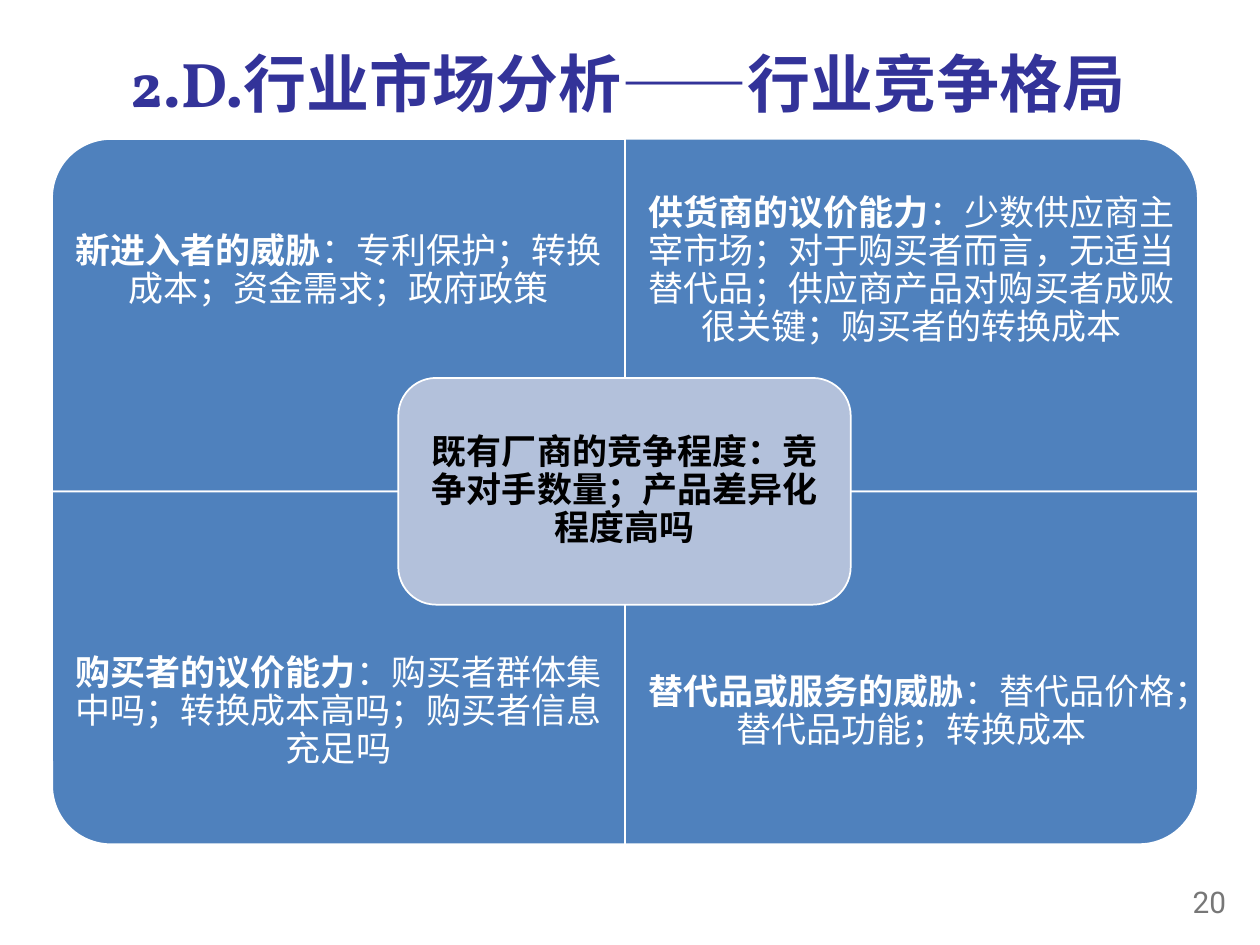
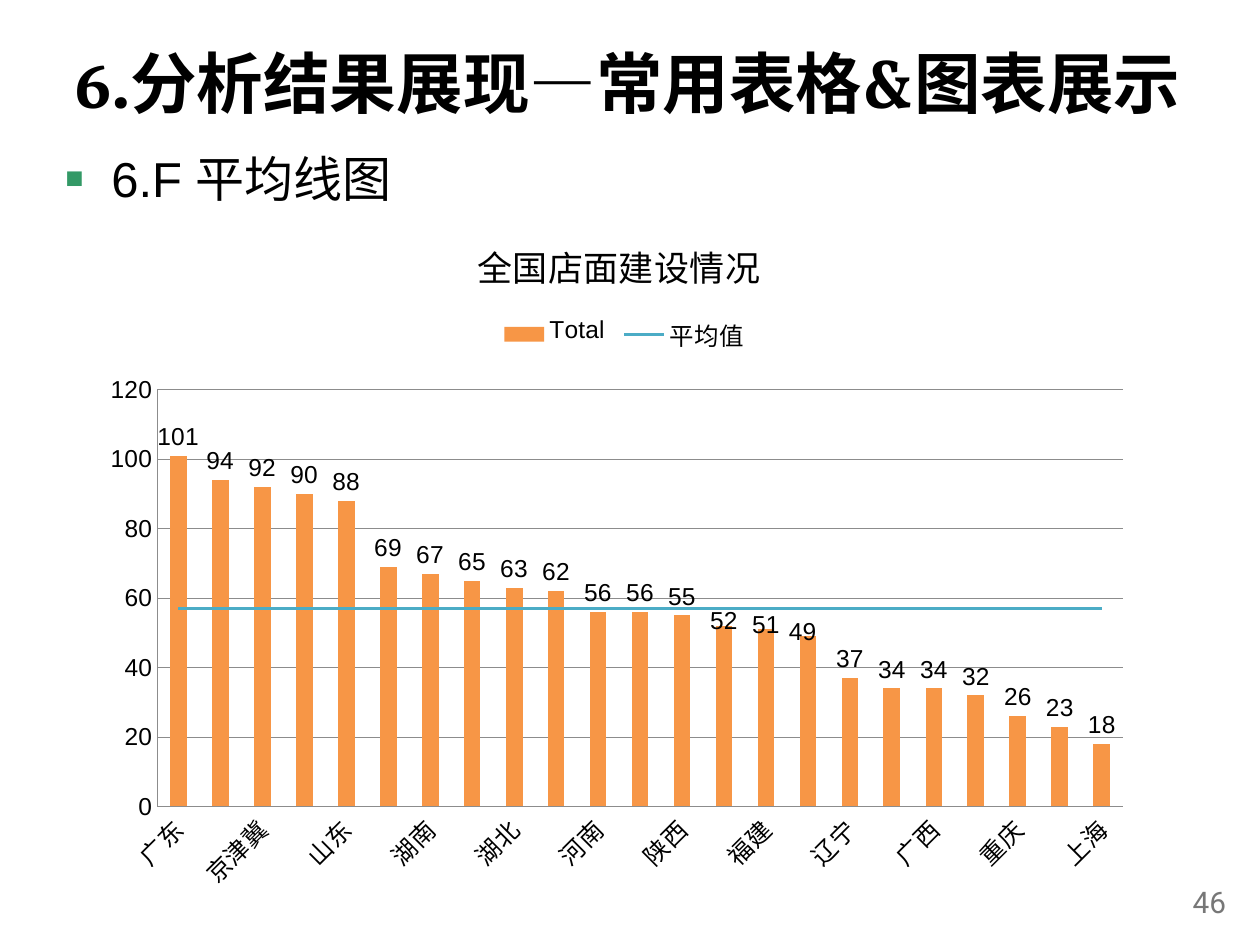
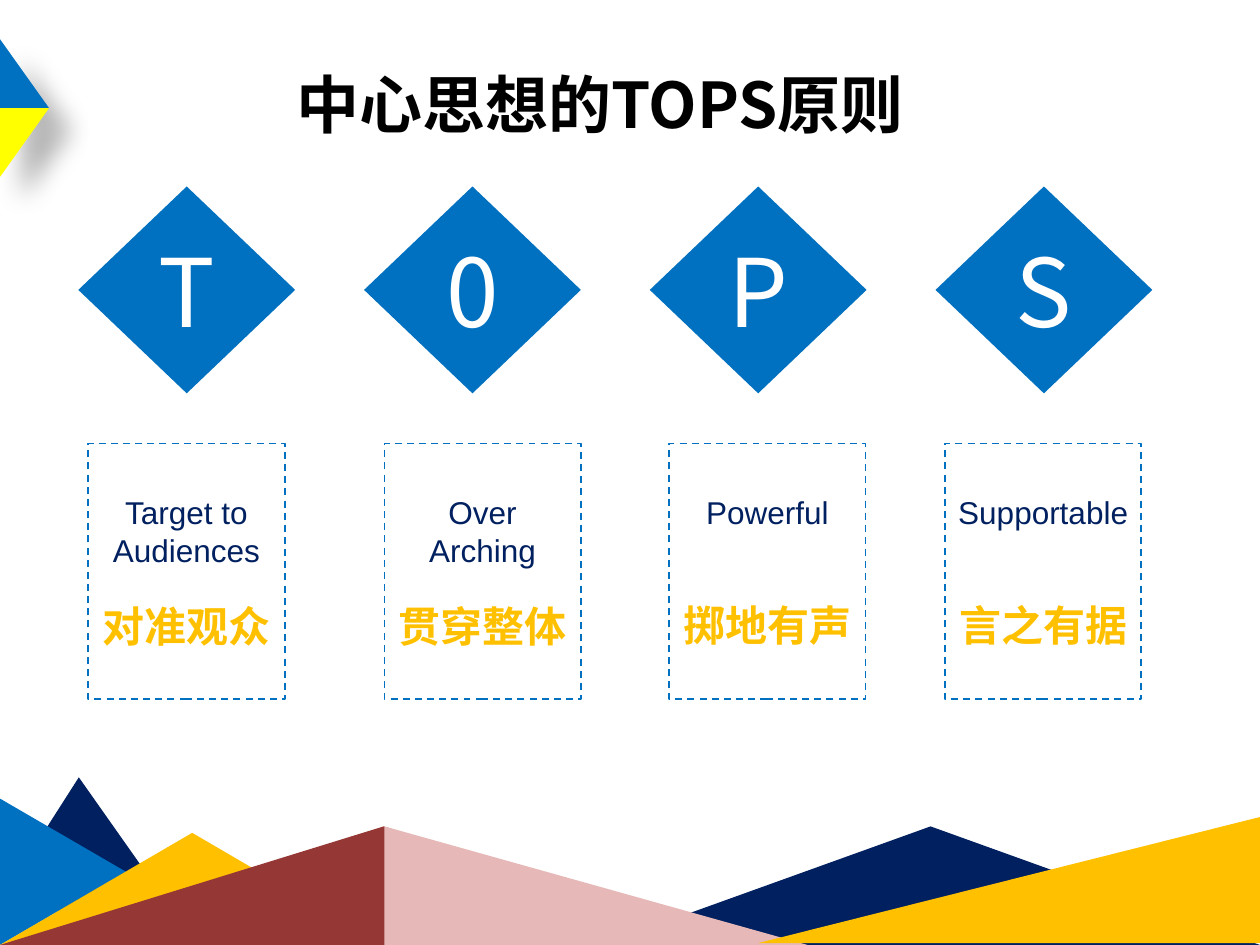
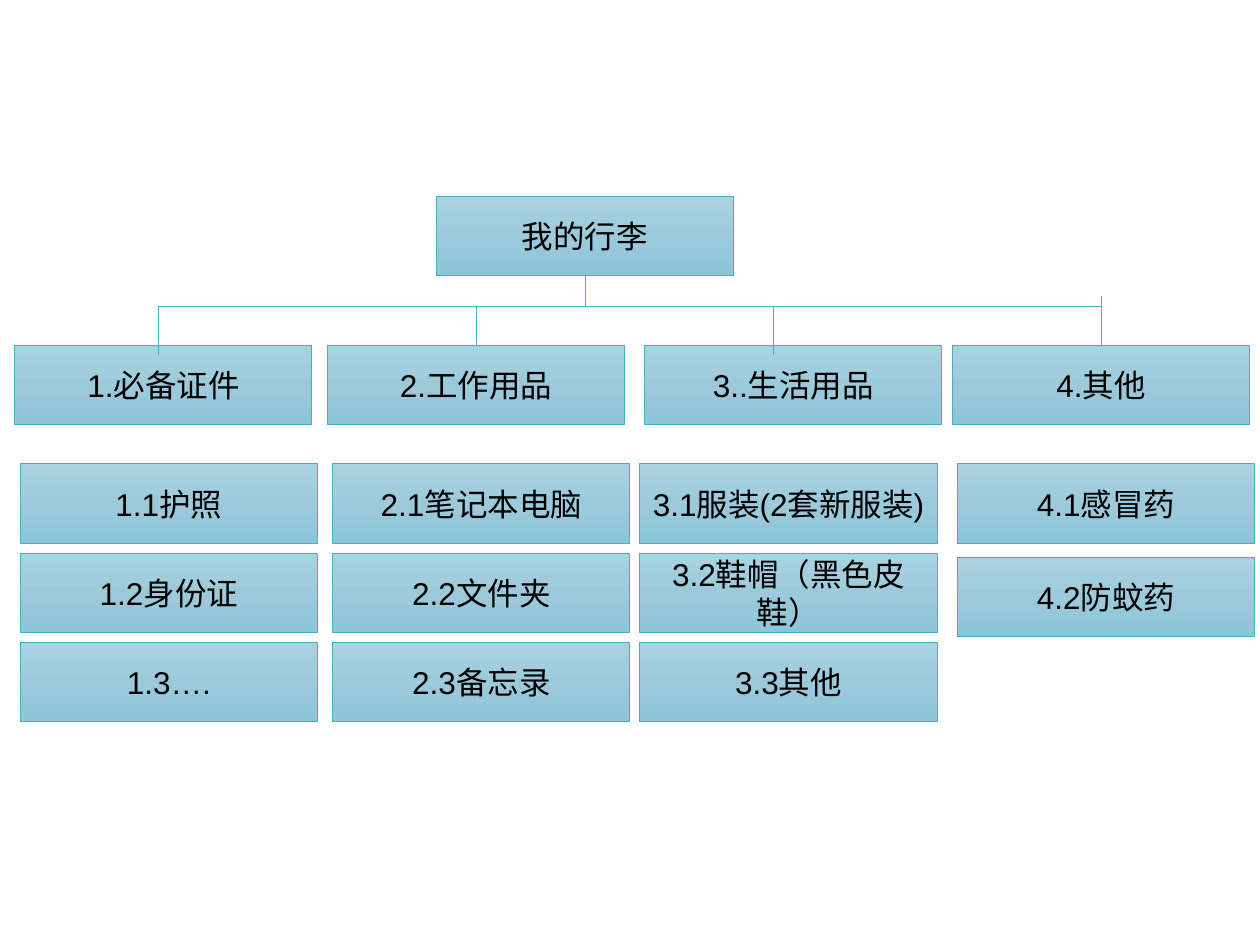
from copy import deepcopy

from pptx import Presentation
from pptx import util as u
from pptx.chart.data import CategoryChartData
from pptx.dml.color import RGBColor
from pptx.enum import chart as ch, dml, shapes, text
from pptx.oxml import parse_xml
from pptx.oxml.ns import nsdecls, qn

# ---- Shared look ----
BLACK = RGBColor(0x00, 0x00, 0x00)
WHITE = RGBColor(0xFF, 0xFF, 0xFF)
INDIGO = RGBColor(0x33, 0x33, 0x99)
GREY = RGBColor(0x77, 0x77, 0x77)
AXIS_GREY = RGBColor(0x8C, 0x8C, 0x8C)
STEEL = RGBColor(0x4F, 0x81, 0xBD)
PALE_STEEL = RGBColor(0xB3, 0xC1, 0xDB)
ORANGE = RGBColor(0xF7, 0x96, 0x46)
TEAL = RGBColor(0x4B, 0xAC, 0xC6)
BLUE = RGBColor(0x00, 0x70, 0xC0)
NAVY = RGBColor(0x00, 0x20, 0x60)
YELLOW = RGBColor(0xFF, 0xFF, 0x00)
GOLD = RGBColor(0xFF, 0xC0, 0x00)
BRICK = RGBColor(0x95, 0x37, 0x35)
PINK = RGBColor(0xE6, 0xB9, 0xB8)
CARD_STOPS = [(0, RGBColor(0xAA, 0xD2, 0xE1)), (0.5, RGBColor(0x9D, 0xCA, 0xDB)),
              (1, RGBColor(0x8B, 0xC5, 0xD9))]
BULLET_GREEN = "339966"

SERIF, SANS, CJK, NUMBER = "Vollkorn", "Arial", "Noto Sans CJK SC", "Roboto"
TITLE_BOX = (0.97, 0.71, 23.37, 1.88)
NUMBER_BOX = (23.06, 17.7, 1.91, 1.02)

SHAPE = shapes.MSO_SHAPE
CENTER, RIGHT = text.PP_ALIGN.CENTER, text.PP_ALIGN.RIGHT
TOP, MIDDLE = text.MSO_ANCHOR.TOP, text.MSO_ANCHOR.MIDDLE

# ---- Slide 1: five forces ----
FORCES_TITLE = "2.D.行业市场分析——行业竞争格局"
FORCES = [  # heading, detail, rotation of the rounded corner
    ("新进入者的威胁", "：专利保护；转换成本；资金需求；政府政策", 270),
    ("供货商的议价能力", "：少数供应商主宰市场；对于购买者而言，无适当替代品；"
     "供应商产品对购买者成败很关键；购买者的转换成本", 0),
    ("购买者的议价能力", "：购买者群体集中吗；转换成本高吗；购买者信息充足吗", 180),
    ("替代品或服务的威胁", "：替代品价格；替代品功能；转换成本", 90),
]
RIVALRY = "既有厂商的竞争程度：竞争对手数量；产品差异化程度高吗"
GRID_LEFT, GRID_TOP, CELL_W, CELL_H, TEXT_H = 1.05, 2.8, 11.55, 7.11, 5.33

# ---- Slide 2: average line chart ----
CHART_SLIDE_TITLE = "6.分析结果展现—常用表格&图表展示"
CHART_BULLET = "6.F 平均线图"
CHART_TITLE = "全国店面建设情况"
STORES = [
    ("广东", 101), ("江苏", 94), ("京津冀", 92), ("四川", 90), ("山东", 88), ("晋蒙", 69),
    ("湖南", 67), ("浙江", 65), ("湖北", 63), ("云贵", 62), ("河南", 56), ("江西", 56),
    ("陕西", 55), ("安徽", 52), ("福建", 51), ("黑吉", 49), ("辽宁", 37), ("甘青宁", 34),
    ("广西", 34), ("深圳", 32), ("重庆", 26), ("新疆", 23), ("上海", 18),
]
AVERAGE = 57
LOWERED_LABELS = {13: 0, 14: 0, 15: -0.005}  # point: sideways shift

# ---- Slide 3: TOPS ----
TOPS_TITLE = "中心思想的TOPS原则"
TOPS = [  # letter, English, Chinese, left of the box, gap between the two texts
    ("T", "Target to Audiences", "对准观众", 1.78, 18),
    ("0", "Over Arching", "贯穿整体", 7.75, 18),
    ("P", "Powerful", "掷地有声", 13.49, 39),
    ("S", "Supportable", "言之有据", 19.05, 39),
]
TRI, RT_TRI = SHAPE.ISOSCELES_TRIANGLE, SHAPE.RIGHT_TRIANGLE
HILLS = [  # preset, box as seen, rotation, colour
    (TRI, (0.84, 16.08, 2.95, 3.61), 122.6, NAVY),
    (TRI, (12.12, 16.66, 13.28, 2.39), 0, NAVY),
    (TRI, (0, 16.1, 2.54, 2.95), 90, BLUE),
    (TRI, (0, 16.79, 7.75, 2.26), 0, GOLD),
    (TRI, (0, 16.66, 15.47, 2.39), 0, BRICK),
    (RT_TRI, (7.75, 16.66, 8.53, 2.39), 0, PINK),
    (RT_TRI, (15.29, 16.47, 10.11, 2.54), 270, GOLD),
]

# ---- Slide 4: luggage tree ----
ROOT = "我的行李"
BRANCHES = [  # heading, its left, items, their left, row pitch
    ("1.必备证件", 0.3, ["1.1护照", "1.2身份证", "1.3…."], 0.41, 1.8),
    ("2.工作用品", 6.6, ["2.1笔记本电脑", "2.2文件夹", "2.3备忘录"], 6.71, 1.8),
    ("3..生活用品", 13, ["3.1服装(2套新服装)", "3.2鞋帽（黑色皮鞋）", "3.3其他"], 12.9, 1.8),
    ("4.其他", 19.2, ["4.1感冒药", "4.2防蚊药"], 19.3, 1.88),
]
CARD_W, CARD_H = 5.99, 1.6
ROOT_AT, HEAD_TOP, ITEM_TOP, BUS_Y = (8.79, 3.96), 6.96, 9.35, 6.17
TREE_LINES = [  # x1, y1, x2, y2
    (11.8, 5.56, 11.8, BUS_Y), (3.2, BUS_Y, 22.2, BUS_Y),
    (3.2, BUS_Y, 3.2, 7.16), (9.6, BUS_Y, 9.6, HEAD_TOP),
    (15.6, BUS_Y, 15.6, 7.16), (22.2, 5.97, 22.2, HEAD_TOP),
]


# ---- Helpers ----
def apply(target, values):
    for name, value in values.items():
        setattr(target, name, value)


def cm(box):
    return [u.Cm(v) for v in box]


def style(font, size, color, name=SANS, bold=False):
    apply(font, {"size": u.Pt(size), "name": name, "bold": bold})
    font.color.rgb = color


def add_run(p, words, size, color, name=SANS, bold=False):
    r = p.add_run()
    r.text = words
    style(r.font, size, color, name, bold)
    if name == CJK:
        r.font._element.append(parse_xml(f'<a:ea {nsdecls("a")} typeface="{CJK}"/>'))


def setup(tf, anchor=MIDDLE, align=CENTER, inset=None):
    apply(tf, {"word_wrap": True, "auto_size": text.MSO_AUTO_SIZE.NONE,
               "vertical_anchor": anchor})
    if inset is not None:
        sides = ("margin_left", "margin_top", "margin_right", "margin_bottom")
        apply(tf, dict.fromkeys(sides, u.Cm(inset)))
    p = tf.paragraphs[0]
    p.alignment = align
    return p


def add_text(s, box, **kw):
    return setup(s.shapes.add_textbox(*cm(box)).text_frame, **kw)


def add_title(s, words, size, color, name=SERIF, box=TITLE_BOX, anchor=MIDDLE):
    title = s.shapes.title
    apply(title, dict(zip(("left", "top", "width", "height"), cm(box))))
    add_run(setup(title.text_frame, anchor), words, size, color, name, True)


def add_number(s, number):
    add_run(add_text(s, NUMBER_BOX, anchor=TOP, align=RIGHT), number, 17, GREY, NUMBER)


def add_shape(s, preset, box, fill=None, line=None, width=1, rotation=0):
    """Place a shape in the box it covers after a quarter turn."""
    x, y, w, h = box
    if rotation % 180 == 90:
        x, y, w, h = x + (w - h) / 2, y + (h - w) / 2, h, w
    sp = s.shapes.add_shape(preset, *cm((x, y, w, h)))
    sp.rotation = rotation
    sp.shadow.inherit = False
    if fill is not None:
        sp.fill.solid()
        sp.fill.fore_color.rgb = fill
    if line is None:
        sp.line.fill.background()
    else:
        sp.line.color.rgb = line
        sp.line.width = u.Pt(width)
    return sp


def layout_xml(inner="", **values):
    modes = "".join(f'<c:{k}Mode val="edge"/>' for k in "xy") if inner else ""
    target = '<c:layoutTarget val="inner"/>' if inner == "plot" else ""
    places = "".join(f'<c:{k} val="{v}"/>' for k, v in values.items())
    return parse_xml(f'<c:layout {nsdecls("c")}><c:manualLayout>{target}{modes}{places}'
                     '</c:manualLayout></c:layout>')


# ---- Slides ----
def forces_slide(prs):
    s = prs.slides.add_slide(prs.slide_layouts[5])
    add_title(s, FORCES_TITLE, 36, INDIGO)
    for i, (heading, detail, rotation) in enumerate(FORCES):
        row, col = divmod(i, 2)
        x, y = GRID_LEFT + col * CELL_W, GRID_TOP + row * CELL_H
        add_shape(s, SHAPE.ROUND_1_RECTANGLE, (x, y, CELL_W, CELL_H), STEEL, WHITE,
                  rotation=rotation)
        text_y = y + row * (CELL_H - TEXT_H)
        p = add_text(s, (x, text_y, CELL_W, TEXT_H), inset=0.4)
        p.line_spacing = 0.9
        add_run(p, heading, 20, WHITE, bold=True)
        add_run(p, detail, 20, WHITE)
    # Centre box
    add_shape(s, SHAPE.ROUNDED_RECTANGLE, (8.03, 7.62, 9.12, 4.57), PALE_STEEL, WHITE)
    p = add_text(s, (8.25, 7.85, 8.69, 4.11), inset=0.2)
    p.line_spacing = 0.9
    add_run(p, RIVALRY, 20, BLACK, bold=True)
    add_number(s, "20")


def add_average_line(chart):
    """Move the second bar series into a line plot on the same axes."""
    bar = chart.plots[0]._element
    ser = bar.findall(qn("c:ser"))[1]
    for bar_only in ser.findall(qn("c:invertIfNegative")):
        ser.remove(bar_only)
    line = parse_xml(f'<c:lineChart {nsdecls("c")}><c:grouping val="standard"/>'
                     '<c:varyColors val="0"/></c:lineChart>')
    line.append(ser)
    line.append(parse_xml(f'<c:marker {nsdecls("c")} val="1"/>'))
    for axis_id in bar.findall(qn("c:axId")):
        line.append(deepcopy(axis_id))
    bar.addnext(line)
    series = chart.plots[1].series[0]
    series.smooth = False
    series.marker.style = ch.XL_MARKER_STYLE.NONE
    series.format.line.color.rgb = TEAL
    series.format.line.width = u.Pt(1.5)


def chart_slide(prs):
    s = prs.slides.add_slide(prs.slide_layouts[1])
    add_title(s, CHART_SLIDE_TITLE, 38, BLACK)

    # Bullet line
    body = s.placeholders[1]
    apply(body, dict(zip(("left", "top", "width", "height"), cm((1.04, 2.8, 23.1, 14.22)))))
    p = setup(body.text_frame, TOP, text.PP_ALIGN.LEFT)
    pPr = p._p.get_or_add_pPr()
    pPr.set("marL", str(u.Cm(0.95)))
    pPr.set("indent", str(u.Cm(-0.95)))
    for tag in (f'buClr {nsdecls("a")}><a:srgbClr val="{BULLET_GREEN}"/></a:buClr',
                f'buSzPct {nsdecls("a")} val="120000"/',
                f'buChar {nsdecls("a")} char="▪"/'):
        pPr.append(parse_xml(f"<a:{tag}>"))
    apply(p, {"line_spacing": 1.05, "space_before": u.Pt(0)})
    add_run(p, CHART_BULLET, 28, BLACK)
    add_number(s, "46")

    # Chart
    data = CategoryChartData()
    data.categories = [name for name, _ in STORES]
    data.add_series("Total", [count for _, count in STORES])
    data.add_series("平均值", [AVERAGE] * len(STORES))
    chart = s.shapes.add_chart(ch.XL_CHART_TYPE.COLUMN_CLUSTERED,
                               *cm((1.9, 4.22, 21.16, 14)), data).chart
    style(chart.font, 14, BLACK)
    chart.has_title = True
    add_run(chart.chart_title.text_frame.paragraphs[0], CHART_TITLE, 20, BLACK)
    chart.has_legend = True
    apply(chart.legend, {"position": ch.XL_LEGEND_POSITION.TOP, "include_in_layout": False})
    style(chart.legend.font, 14, BLACK)
    chart.legend._element.find(qn("c:legendPos")).addnext(
        layout_xml("legend", x=0.38, y=0.15, w=0.25, h=0.06))
    area = chart._chartSpace.chart.plotArea
    for old in area.findall(qn("c:layout")):
        area.remove(old)
    area.insert(0, layout_xml("plot", x=0.06, y=0.26, w=0.92, h=0.6))

    # Axes
    none = ch.XL_TICK_MARK.NONE
    for axis in (chart.category_axis, chart.value_axis):
        apply(axis, {"major_tick_mark": none, "minor_tick_mark": none})
        style(axis.tick_labels.font, 14, BLACK)
    apply(chart.value_axis, {"minimum_scale": 0, "maximum_scale": 120, "major_unit": 20})
    for part in (chart.category_axis, chart.value_axis, chart.value_axis.major_gridlines):
        part.format.line.color.rgb = AXIS_GREY
        part.format.line.width = u.Pt(0.5)
    chart.category_axis._element.find(".//" + qn("a:bodyPr")).set("rot", "-2700000")

    # Bars and their labels
    add_average_line(chart)
    plot = chart.plots[0]
    apply(plot, {"gap_width": 150, "vary_by_categories": False})
    bars = plot.series[0]
    bars.format.fill.solid()
    bars.format.fill.fore_color.rgb = ORANGE
    outside = ch.XL_LABEL_POSITION.OUTSIDE_END
    apply(bars.data_labels, {"show_value": True, "position": outside})
    style(bars.data_labels.font, 14, BLACK)
    for i, shift in LOWERED_LABELS.items():
        label = bars.points[i].data_label
        style(label.font, 14, BLACK)
        label.position = outside
        for dLbl in bars._element.iter(qn("c:dLbl")):
            idx = dLbl.find(qn("c:idx"))
            if idx.get("val") == str(i):
                idx.addnext(layout_xml(x=shift, y=0.02))


def tops_slide(prs):
    s = prs.slides.add_slide(prs.slide_layouts[5])
    add_title(s, TOPS_TITLE, 36, BLACK, CJK, (0, 1.19, 24.2, 1.8), TOP)

    # Corner arrow
    for y, color in ((0.79, BLUE), (2.18, YELLOW)):
        sp = add_shape(s, RT_TRI, (0, y, 0.99, 1.39), color)
        if color == YELLOW:
            sp._element.spPr.find(qn("a:xfrm")).set("flipV", "1")
        sp._element.spPr.find(qn("a:effectLst")).append(parse_xml(
            f'<a:outerShdw {nsdecls("a")} blurRad="{u.Pt(15)}" dist="{u.Pt(18)}" '
            'dir="2700000" algn="tl" rotWithShape="0"><a:srgbClr val="000000">'
            '<a:alpha val="30000"/></a:srgbClr></a:outerShdw>'))

    # Diamonds and dashed boxes
    for i, (letter, english, chinese, left, gap) in enumerate(TOPS):
        sp = add_shape(s, SHAPE.DIAMOND, (1.58 + 5.76 * i, 3.76, 4.37, 4.17), BLUE)
        add_run(setup(sp.text_frame), letter, 54, WHITE, CJK)
        sp = add_shape(s, SHAPE.RECTANGLE, (left, 8.94, 3.96, 5.16), WHITE, BLUE)
        sp.line.dash_style = dml.MSO_LINE.DASH
        tf = sp.text_frame
        add_run(setup(tf, TOP, inset=0.25), english, 18, NAVY)
        tf.margin_top = u.Cm(1)
        p = tf.add_paragraph()
        apply(p, {"alignment": CENTER, "space_before": u.Pt(gap)})
        add_run(p, chinese, 24, GOLD, CJK, True)

    # Hills along the bottom
    for preset, box, rotation, color in HILLS:
        add_shape(s, preset, box, color, rotation=rotation)


def add_card(s, x, y, words):
    sp = add_shape(s, SHAPE.RECTANGLE, (x, y, CARD_W, CARD_H), line=TEAL, width=0.5)
    sp.fill.gradient()
    sp.fill.gradient_angle = 270
    first = sp._element.spPr.find(".//" + qn("a:gs"))
    first.addnext(deepcopy(first))
    for stop, (position, color) in zip(sp.fill.gradient_stops, CARD_STOPS):
        stop.position = position
        stop.color.rgb = color
    add_run(setup(sp.text_frame), words, 18, BLACK)


def luggage_slide(prs):
    s = prs.slides.add_slide(prs.slide_layouts[6])
    add_card(s, *ROOT_AT, ROOT)
    for heading, head_x, items, item_x, pitch in BRANCHES:
        add_card(s, head_x, HEAD_TOP, heading)
        for row, item in enumerate(items):
            add_card(s, item_x, ITEM_TOP + row * pitch, item)
    for ends in TREE_LINES:
        line = s.shapes.add_connector(shapes.MSO_CONNECTOR.STRAIGHT, *cm(ends))
        line.line.color.rgb = TEAL
        line.line.width = u.Pt(0.5)
        line._element.spPr.append(parse_xml(f'<a:effectLst {nsdecls("a")}/>'))


def main():
    prs = Presentation()
    prs.slide_width, prs.slide_height = cm((25.4, 19.05))
    for build in (forces_slide, chart_slide, tops_slide, luggage_slide):
        build(prs)
    prs.save("out.pptx")


if __name__ == "__main__":
    main()
